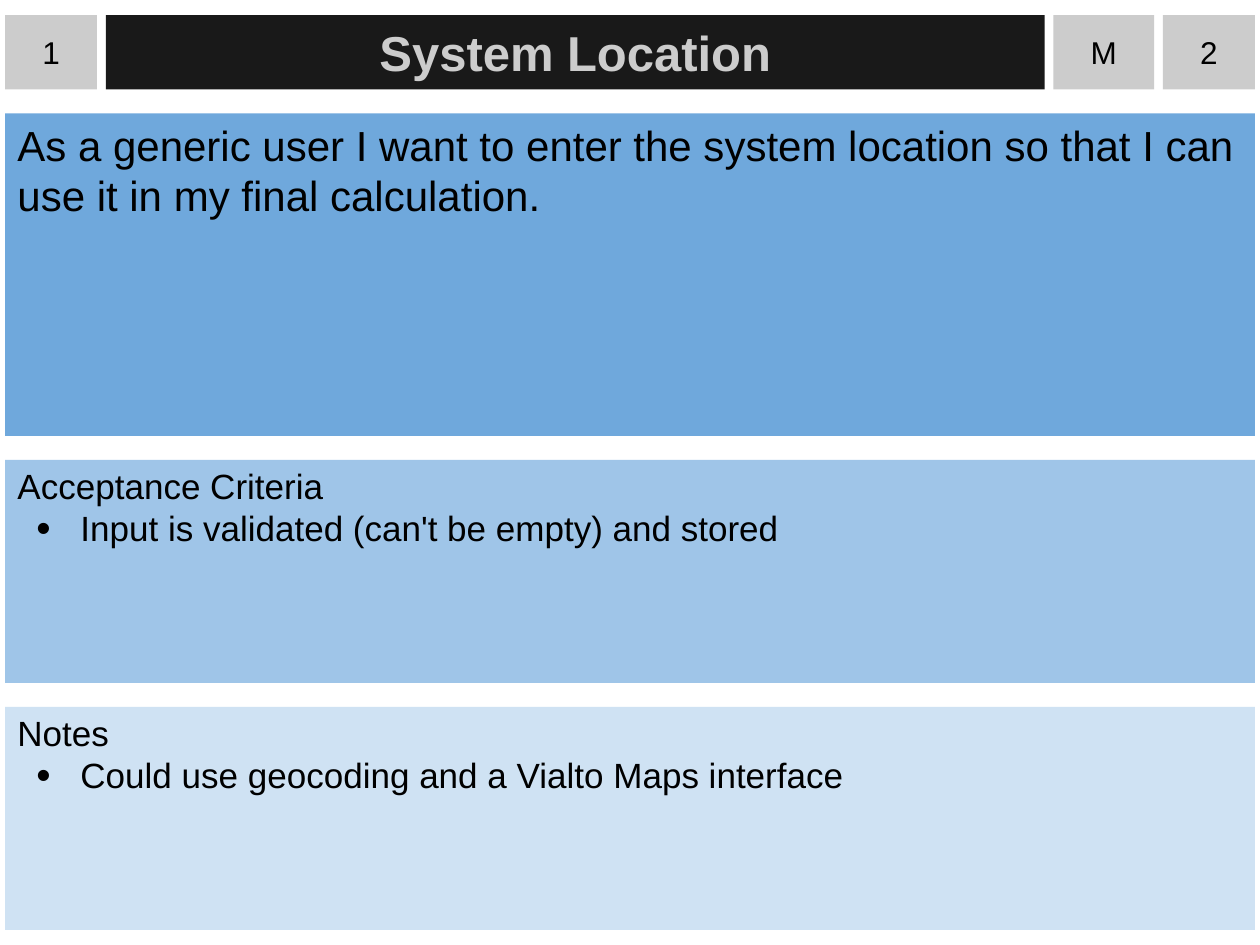
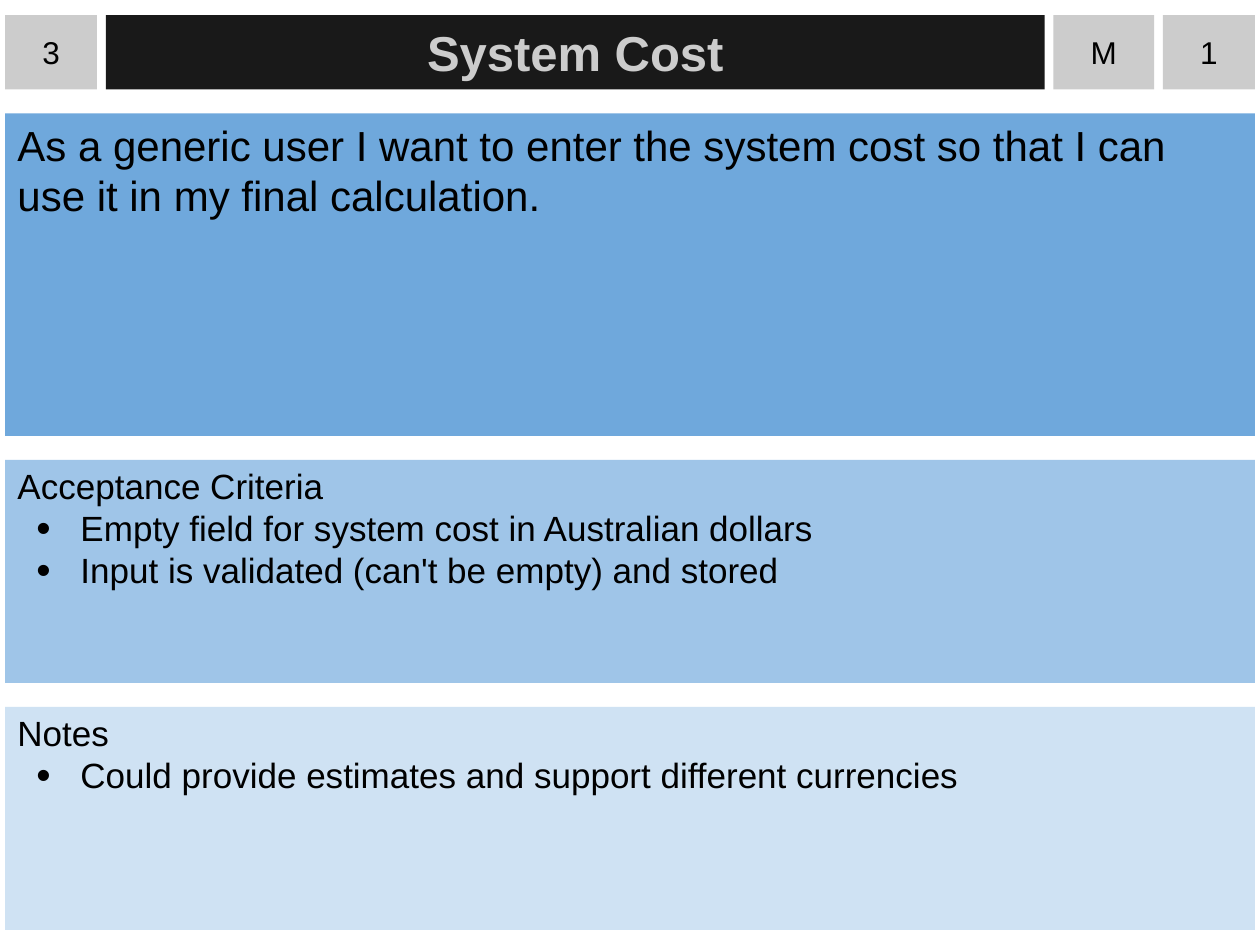
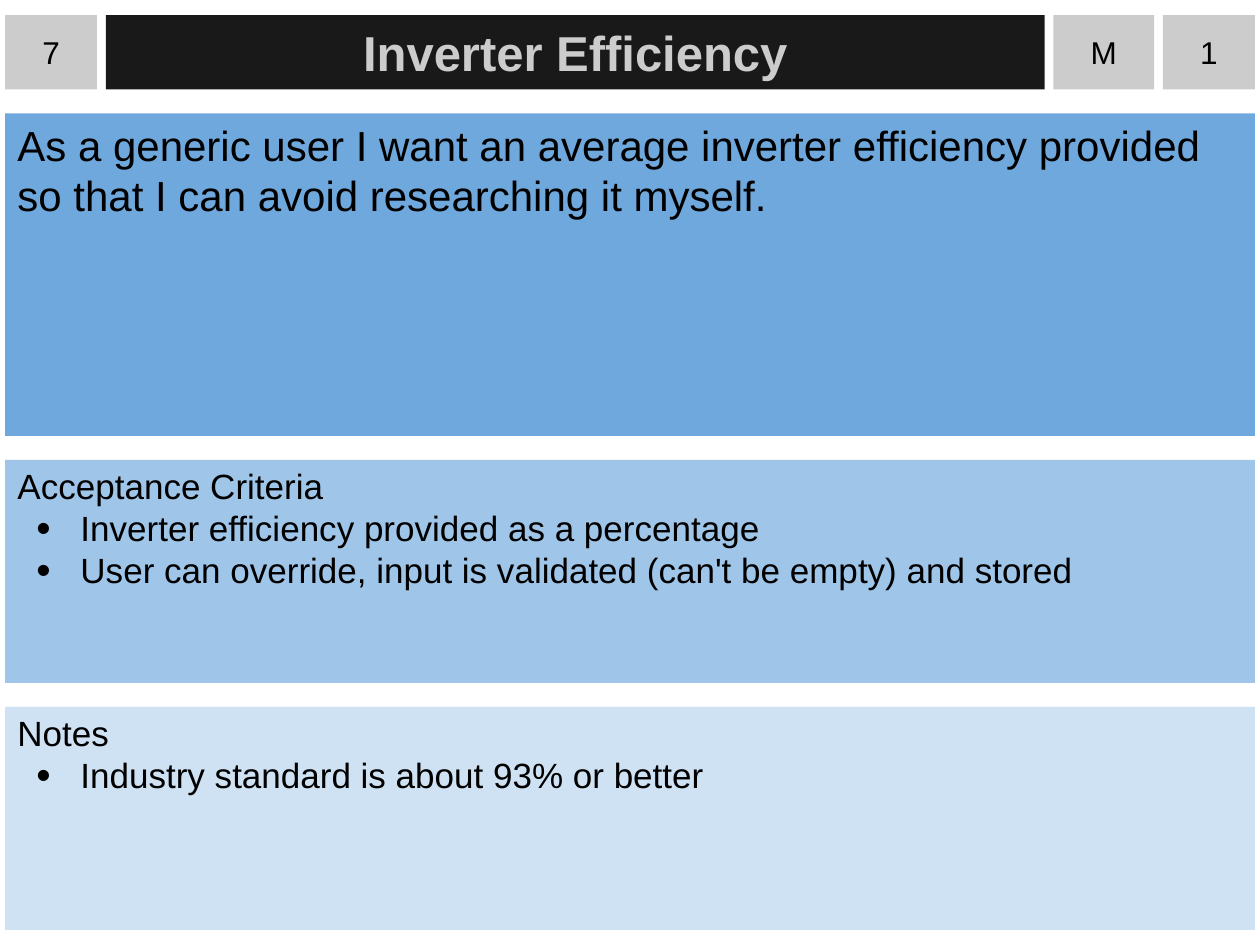
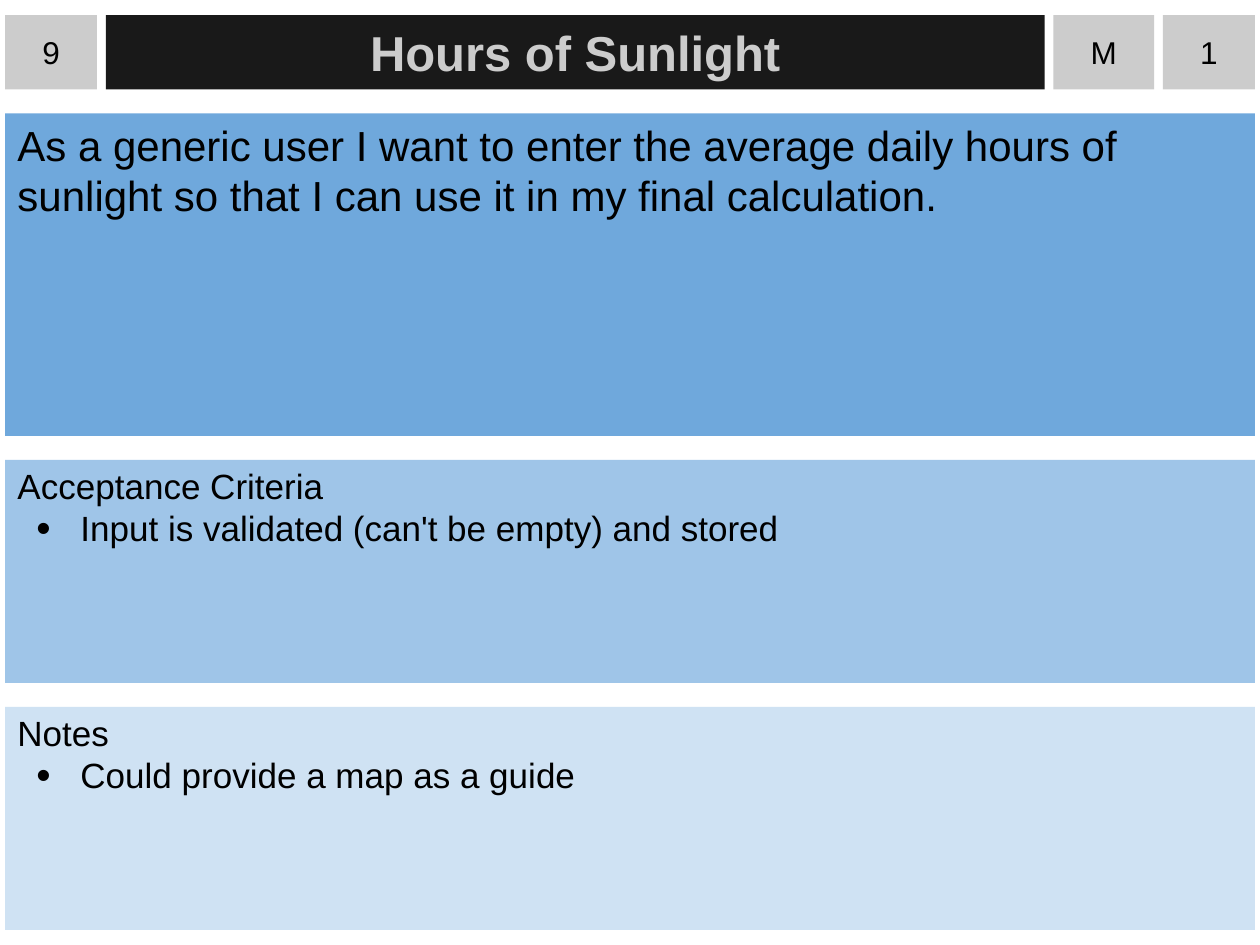
"""Build a deck of user story cards."""
from dataclasses import dataclass

from lxml import etree
from pptx import Presentation
from pptx.dml.color import RGBColor
from pptx.enum.shapes import MSO_SHAPE
from pptx.enum.text import MSO_ANCHOR, PP_ALIGN
from pptx.oxml.ns import qn
from pptx.util import Inches, Pt

RECTANGLE = MSO_SHAPE.RECTANGLE
TOP, MIDDLE = MSO_ANCHOR.TOP, MSO_ANCHOR.MIDDLE
LEFT, CENTER = PP_ALIGN.LEFT, PP_ALIGN.CENTER


@dataclass(frozen=True)
class Theme:
    """Colours, type sizes and bullet settings of the cards."""
    font: str = "Arial"
    ink: str = "000000"
    title_fill: str = "191919"
    grey: str = "CCCCCC"
    story_fill: str = "6FA8DC"
    criteria_fill: str = "9FC5E8"
    remarks_fill: str = "CFE2F3"
    title_size: int = 28
    story_size: int = 24
    list_size: int = 20
    badge_size: int = 18
    bullet_percent: int = 117
    bullet_indent: float = 0.5
    bullet_hang: float = 0.35


@dataclass(frozen=True)
class Box:
    """A rectangle in inches."""
    left: float
    top: float
    width: float
    height: float

    def columns(self, shares, gap):
        """Split the box into side-by-side boxes by share."""
        return [Box(self.left + start, self.top, size, self.height)
                for start, size in split(self.width, shares, gap)]

    def rows(self, shares, gap):
        """Split the box into stacked boxes by share."""
        return [Box(self.left, self.top + start, self.width, size)
                for start, size in split(self.height, shares, gap)]


@dataclass(frozen=True)
class Story:
    """The content of one card."""
    number: str
    title: str
    priority: str
    estimate: str
    text: str
    criteria: tuple
    remarks: tuple


THEME = Theme()
SLIDE_WIDTH, SLIDE_HEIGHT = 10, 7.5
MARGIN_X, MARGIN_Y = 0.04, 0.12
CARD = Box(MARGIN_X, MARGIN_Y, SLIDE_WIDTH - 2 * MARGIN_X, SLIDE_HEIGHT - 2 * MARGIN_Y)
ROW_SHARES, ROW_GAP = (59, 256, 177, 177), 0.19
HEADER_SHARES, HEADER_GAP = (73, 745, 80, 73), 0.07

STORIES = (
    Story("1", "System Location", "M", "2",
          "As a generic user I want to enter the system location so that I can "
          "use it in my final calculation.",
          ("Input is validated (can't be empty) and stored",),
          ("Could use geocoding and a Vialto Maps interface",)),
    Story("3", "System Cost", "M", "1",
          "As a generic user I want to enter the system cost so that I can "
          "use it in my final calculation.",
          ("Empty field for system cost in Australian dollars",
           "Input is validated (can't be empty) and stored"),
          ("Could provide estimates and support different currencies",)),
    Story("7", "Inverter Efficiency", "M", "1",
          "As a generic user I want an average inverter efficiency provided "
          "so that I can avoid researching it myself.",
          ("Inverter efficiency provided as a percentage",
           "User can override, input is validated (can't be empty) and stored"),
          ("Industry standard is about 93% or better",)),
    Story("9", "Hours of Sunlight", "M", "1",
          "As a generic user I want to enter the average daily hours of "
          "sunlight so that I can use it in my final calculation.",
          ("Input is validated (can't be empty) and stored",),
          ("Could provide a map as a guide",)),
)


def split(length, shares, gap):
    """Return the start and size of each part of a length."""
    unit = (length - gap * (len(shares) - 1)) / sum(shares)
    return [(sum(shares[:i]) * unit + i * gap, share * unit)
            for i, share in enumerate(shares)]


def add_panel(slide, box, lines, fill, size, color=THEME.ink, bold=False,
              anchor=TOP, align=LEFT, side_inset=0.1, top_inset=0.05):
    """Draw a filled panel with its lines and return their paragraphs."""
    panel = slide.shapes.add_shape(RECTANGLE, Inches(box.left), Inches(box.top),
                                   Inches(box.width), Inches(box.height))
    panel.shadow.inherit = False
    panel.fill.solid()
    panel.fill.fore_color.rgb = RGBColor.from_string(fill)
    panel.line.fill.background()
    frame = panel.text_frame
    frame.word_wrap = True
    frame.vertical_anchor = anchor
    frame.margin_left = frame.margin_right = Inches(side_inset)
    frame.margin_top, frame.margin_bottom = Inches(top_inset), Inches(0.05)
    frame.text = "\n".join(lines)
    for paragraph in frame.paragraphs:
        paragraph.alignment = align
        for run in paragraph.runs:
            run.font.name = THEME.font
            run.font.size = Pt(size)
            run.font.bold = bold
            run.font.color.rgb = RGBColor.from_string(color)
    return frame.paragraphs


def add_bullet(paragraph):
    """Give a paragraph a hanging round bullet."""
    properties = paragraph._p.get_or_add_pPr()
    properties.set("marL", str(Inches(THEME.bullet_indent)))
    properties.set("indent", str(-Inches(THEME.bullet_hang)))
    bullet_color = etree.SubElement(properties, qn("a:buClr"))
    etree.SubElement(bullet_color, qn("a:srgbClr"), val=THEME.ink)
    etree.SubElement(properties, qn("a:buSzPct"), val=str(THEME.bullet_percent * 1000))
    etree.SubElement(properties, qn("a:buFont"), typeface=THEME.font)
    etree.SubElement(properties, qn("a:buChar"), char="•")


def add_header(slide, box, story):
    """Draw the title bar with its number, priority and estimate badges."""
    number, title, priority, estimate = box.columns(HEADER_SHARES, HEADER_GAP)
    add_panel(slide, title, [story.title], THEME.title_fill, THEME.title_size,
              color=THEME.grey, bold=True, anchor=MIDDLE, align=CENTER)
    for badge, label in ((number, story.number), (priority, story.priority),
                         (estimate, story.estimate)):
        add_panel(slide, badge, [label], THEME.grey, THEME.badge_size,
                  anchor=MIDDLE, align=CENTER, side_inset=0)


def add_list(slide, box, heading, items, fill):
    """Draw a panel with a heading and bulleted items."""
    paragraphs = add_panel(slide, box, [heading, *items], fill, THEME.list_size,
                           top_inset=0.04)
    for item in paragraphs[1:]:
        add_bullet(item)


def add_card(slide, box, story):
    """Draw a whole story card in the box."""
    header, text, criteria, remarks = box.rows(ROW_SHARES, ROW_GAP)
    add_header(slide, header, story)
    add_panel(slide, text, [story.text], THEME.story_fill, THEME.story_size)
    add_list(slide, criteria, "Acceptance Criteria", story.criteria, THEME.criteria_fill)
    add_list(slide, remarks, "Notes", story.remarks, THEME.remarks_fill)


def main():
    """Build and save the deck."""
    deck = Presentation()
    deck.slide_width, deck.slide_height = Inches(SLIDE_WIDTH), Inches(SLIDE_HEIGHT)
    blank = deck.slide_layouts[6]
    for story in STORIES:
        add_card(deck.slides.add_slide(blank), CARD, story)
    deck.save("out.pptx")


if __name__ == "__main__":
    main()
